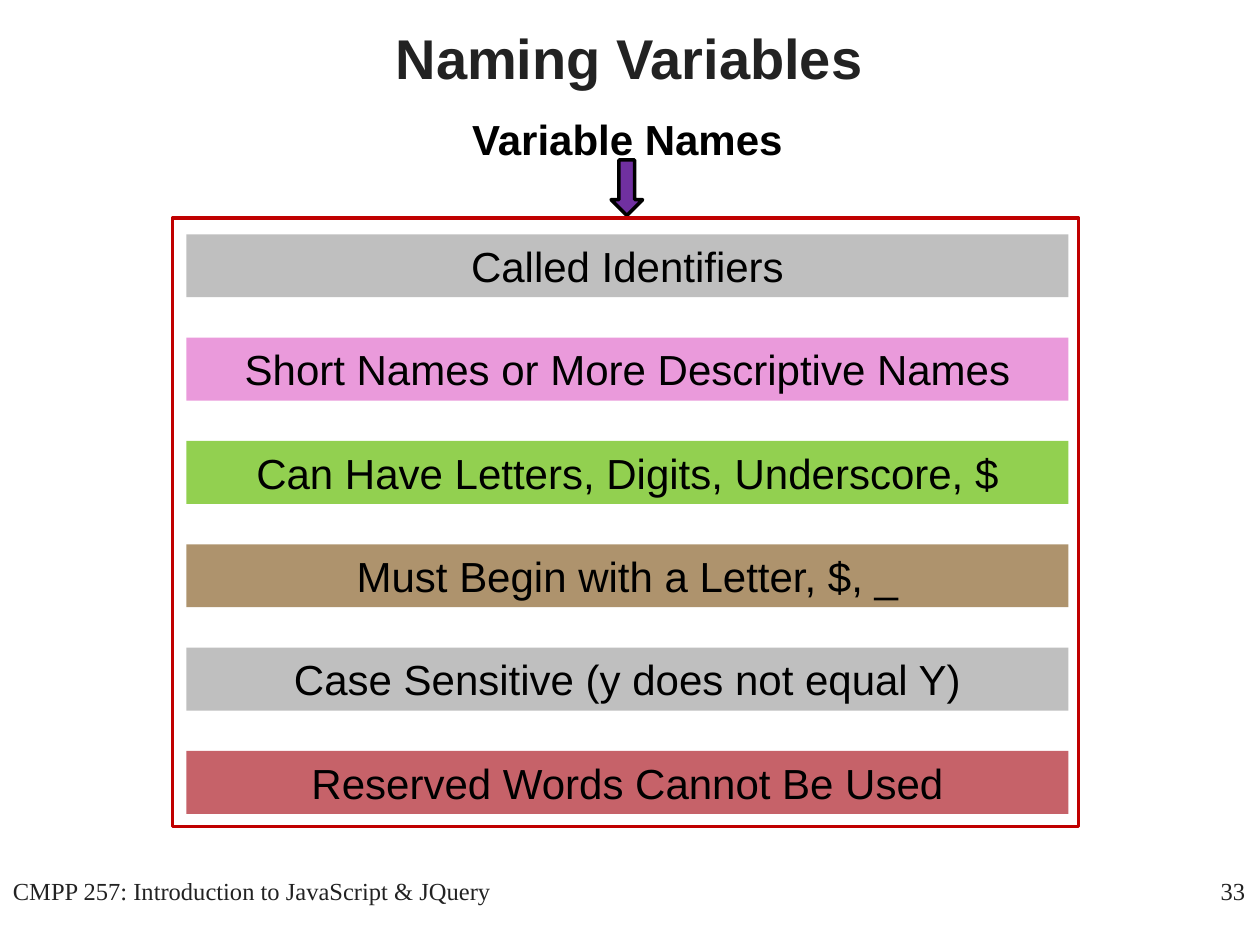
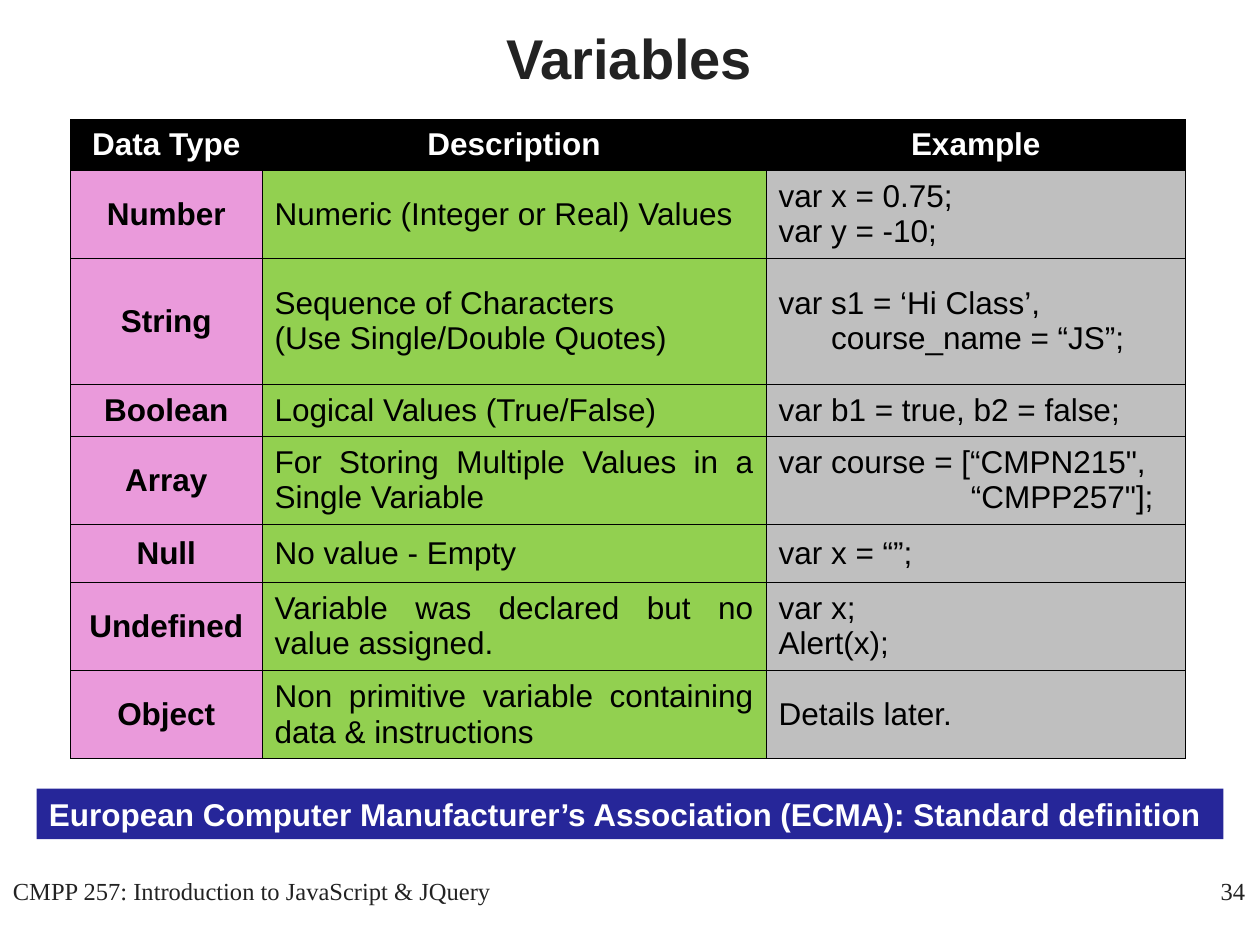
from lxml.etree import SubElement
from pptx import Presentation
from pptx.dml.color import RGBColor
from pptx.enum.shapes import MSO_SHAPE
from pptx.enum.text import MSO_ANCHOR, PP_ALIGN
from pptx.oxml import parse_xml
from pptx.oxml.ns import nsdecls, qn
from pptx.util import Inches, Pt

# Shared colours and text formats
BLACK, WHITE, INK = "000000", "FFFFFF", "222222"
GREY, PINK, GREEN = "BFBFBF", "EA9ADB", "92D050"
BROWN, ROSE, PURPLE, RED, NAVY = "886128", "C66269", "7030A0", "C00000", "262699"

TITLE_FORMAT = {"name": "Arial", "size": Pt(32), "bold": True}
HEADING_FORMAT = {"name": "Arial", "size": Pt(24), "bold": True}
BAR_FORMAT = {"name": "Arial", "size": Pt(24), "bold": False}
STRONG_FORMAT = {"name": "Arial", "size": Pt(18), "bold": True}
CELL_FORMAT = {"name": "Arial", "size": Pt(18), "bold": False}
FOOTER_FORMAT = {"name": "Times New Roman", "size": Pt(14), "bold": False}

FOOTER = "CMPP 257: Introduction to JavaScript & JQuery"

NAMING_RULES = [
    ("Called Identifiers", GREY, None),
    ("Short Names or More Descriptive Names", PINK, None),
    ("Can Have Letters, Digits, Underscore, $", GREEN, None),
    ("Must Begin with a Letter, $, _", BROWN, 68),
    ("Case Sensitive (y does not equal Y)", GREY, None),
    ("Reserved Words Cannot Be Used", ROSE, None),
]

# Height in inches, data type, description, example
DATA_TYPES = [
    (0.4, "Data Type", "Description", "Example"),
    (0.7, "Number", "Numeric (Integer or Real) Values", "var x = 0.75;\nvar y = -10;"),
    (1, "String", "Sequence of Characters\n(Use Single/Double Quotes)",
     "var s1 = ‘Hi Class’,\n      course_name = “JS”;"),
    (0.41, "Boolean", "Logical Values (True/False)", "var b1 = true, b2 = false;"),
    (0.7, "Array", "For Storing Multiple Values in a Single Variable",
     "var course = [“CMPN215\",\n                      “CMPP257\"];"),
    (0.46, "Null", "No value - Empty", "var x = “”;"),
    (0.7, "Undefined", "Variable was declared but no value assigned.", "var x;\nAlert(x);"),
    (0.7, "Object", "Non primitive variable containing data & instructions", "Details later."),
]

# Width in inches, fill, alignment, text format
TABLE_COLUMNS = [
    (1.52, PINK, PP_ALIGN.CENTER, STRONG_FORMAT),
    (4, GREEN, PP_ALIGN.JUSTIFY, CELL_FORMAT),
    (3.33, GREY, PP_ALIGN.LEFT, CELL_FORMAT),
]


def color(hex_value):
    return RGBColor.from_string(hex_value)


def write(text_frame, text, text_format, hex_value, alignment):
    text_frame.text = text
    text_frame.word_wrap = True
    for paragraph in text_frame.paragraphs:
        paragraph.alignment = alignment
        for attribute, value in text_format.items():
            setattr(paragraph.font, attribute, value)
        paragraph.font.color.rgb = color(hex_value)


def add_text(slide, box, text, text_format, hex_value, alignment):
    shape = slide.shapes.add_textbox(*map(Inches, box))
    write(shape.text_frame, text, text_format, hex_value, alignment)


def add_block(slide, kind, box, fill=None, outline=None, opacity=None):
    shape = slide.shapes.add_shape(kind, *map(Inches, box))
    shape.shadow.inherit = False
    if fill:
        shape.fill.solid()
        shape.fill.fore_color.rgb = color(fill)
    else:
        shape.fill.background()
    if outline:
        shape.line.color.rgb = color(outline)
        shape.line.width = Pt(2)
    else:
        shape.line.fill.background()
    if opacity:
        fill_color = shape._element.spPr.find(qn("a:solidFill"))[0]
        SubElement(fill_color, qn("a:alpha"), val=str(opacity * 1000))
    return shape


def add_bar(slide, box, text, text_format, fill, hex_value, alignment, opacity=None):
    bar = add_block(slide, MSO_SHAPE.RECTANGLE, box, fill, opacity=opacity)
    bar.text_frame.vertical_anchor = MSO_ANCHOR.TOP
    write(bar.text_frame, text, text_format, hex_value, alignment)


def add_slide(presentation, title, number):
    slide = presentation.slides.add_slide(presentation.slide_layouts[5])
    shape = slide.shapes.title
    place = {"left": 0.58, "top": -0.17, "width": 8.83, "height": 1.25}
    for attribute, value in place.items():
        setattr(shape, attribute, Inches(value))
    shape.text_frame.vertical_anchor = MSO_ANCHOR.MIDDLE
    write(shape.text_frame, title, TITLE_FORMAT, INK, PP_ALIGN.CENTER)
    add_text(slide, (7.9, 6.9, 2.08, 0.5), str(number), FOOTER_FORMAT, INK, PP_ALIGN.RIGHT)
    add_text(slide, (0, 6.9, 4, 0.5), FOOTER, FOOTER_FORMAT, INK, PP_ALIGN.CENTER)
    return slide


def format_cell(cell, text, text_format, fill, hex_value, alignment):
    properties = cell._tc.get_or_add_tcPr()
    for side in ("lnL", "lnR", "lnT", "lnB"):
        properties.append(parse_xml(
            f'<a:{side} {nsdecls("a")} w="{Pt(0.45)}"><a:solidFill>'
            f'<a:srgbClr val="{BLACK}"/></a:solidFill></a:{side}>'))
    cell.fill.solid()
    cell.fill.fore_color.rgb = color(fill)
    cell.vertical_anchor = MSO_ANCHOR.MIDDLE
    write(cell.text_frame, text, text_format, hex_value, alignment)


def add_type_table(slide):
    box = (0.56, 0.95, 8.85, 5.07)
    table = slide.shapes.add_table(
        len(DATA_TYPES), len(TABLE_COLUMNS), *map(Inches, box)).table
    table.horz_banding = False
    for column, (width, *_) in zip(table.columns, TABLE_COLUMNS):
        column.width = Inches(width)
    for row_index, (height, *texts) in enumerate(DATA_TYPES):
        table.rows[row_index].height = Inches(height)
        for column_index, text in enumerate(texts):
            _, fill, alignment, text_format = TABLE_COLUMNS[column_index]
            hex_value = BLACK
            if row_index == 0:
                fill, hex_value = BLACK, WHITE
                alignment, text_format = PP_ALIGN.CENTER, STRONG_FORMAT
            format_cell(table.cell(row_index, column_index), text,
                        text_format, fill, hex_value, alignment)


def build_naming_slide(presentation):
    slide = add_slide(presentation, "Naming Variables", 33)
    add_block(slide, MSO_SHAPE.DOWN_ARROW, (4.85, 1.27, 0.25, 0.44), PURPLE, BLACK)
    add_text(slide, (3.48, 0.85, 3, 0.5), "Variable Names",
             HEADING_FORMAT, BLACK, PP_ALIGN.CENTER)
    # Evenly spaced rules inside a red frame
    for index, (text, fill, opacity) in enumerate(NAMING_RULES):
        add_bar(slide, (1.48, 1.86 + 0.82 * index, 7, 0.5), text,
                BAR_FORMAT, fill, BLACK, PP_ALIGN.CENTER, opacity)
    add_block(slide, MSO_SHAPE.RECTANGLE, (1.37, 1.73, 7.19, 4.83), outline=RED)


def build_types_slide(presentation):
    slide = add_slide(presentation, "Variables", 34)
    add_type_table(slide)
    add_bar(slide, (0.29, 6.26, 9.42, 0.4),
            "European Computer Manufacturer’s Association (ECMA): Standard definition",
            STRONG_FORMAT, NAVY, WHITE, PP_ALIGN.LEFT)


def main():
    presentation = Presentation()
    presentation.slide_width = Inches(10)
    presentation.slide_height = Inches(7.5)
    build_naming_slide(presentation)
    build_types_slide(presentation)
    presentation.save("out.pptx")


if __name__ == "__main__":
    main()
